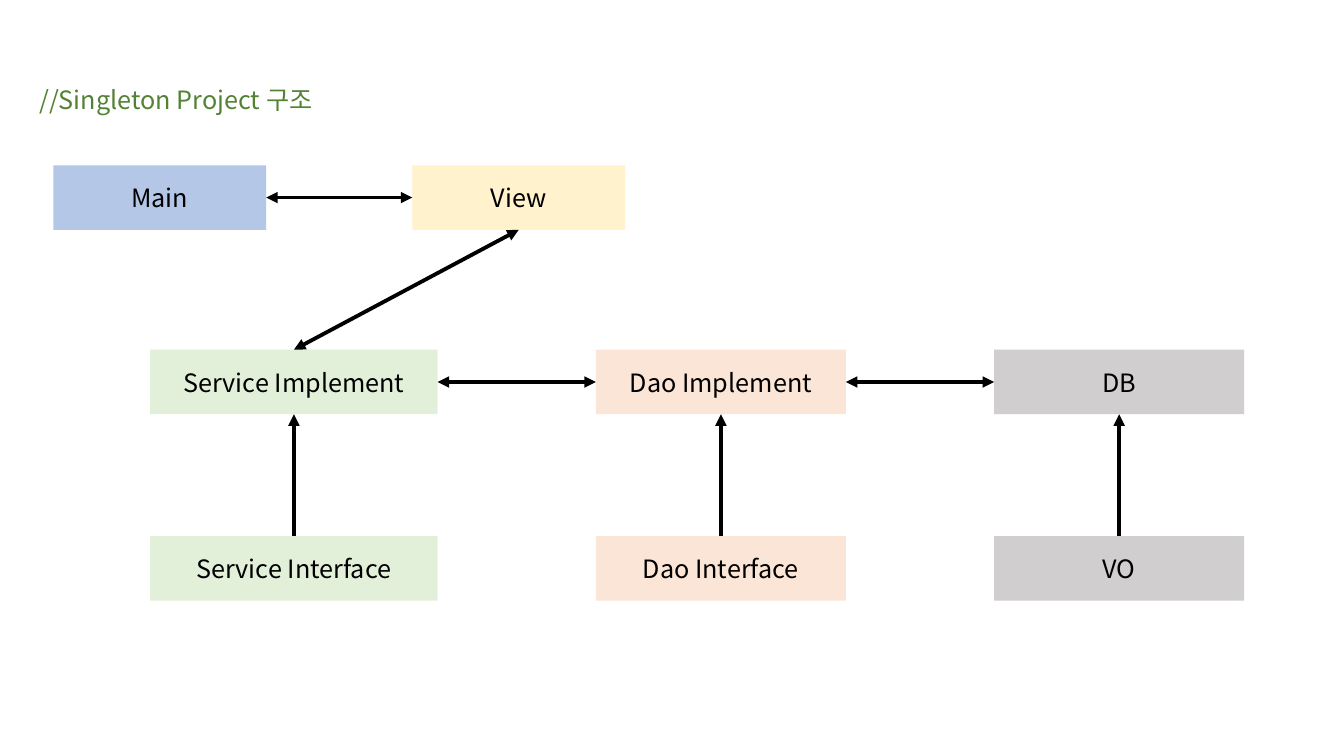
from lxml import etree
from pptx import Presentation
from pptx.dml.color import RGBColor
from pptx.enum.shapes import MSO_CONNECTOR, MSO_SHAPE
from pptx.enum.text import MSO_ANCHOR, PP_ALIGN
from pptx.oxml.ns import qn
from pptx.util import Inches, Pt

FONT = "Noto Sans CJK KR"
COLORS = {
    "black": "000000", "white": "FFFFFF", "title": "548235",
    "main": "B4C7E7", "view": "FFF2CC", "service": "E2F0D9",
    "dao": "FBE5D6", "data": "D0CECE",
}
TITLE = ("//Singleton Project 구조", 0.29, 0.76, 3.05, 0.46)

BOX_HEIGHT = 0.64
ROWS = {"entry": 1.64, "implement": 3.47, "interface": 5.32}
# column: left, width
COLUMNS = {
    "main": (0.53, 2.11), "view": (4.09, 2.11),
    "service": (1.49, 2.85), "dao": (5.91, 2.48), "data": (9.86, 2.48),
}
# label, column, row
BOXES = [
    ("Main", "main", "entry"),
    ("View", "view", "entry"),
    ("Service Implement", "service", "implement"),
    ("Dao Implement", "dao", "implement"),
    ("DB", "data", "implement"),
    ("Service Interface", "service", "interface"),
    ("Dao Interface", "dao", "interface"),
    ("VO", "data", "interface"),
]
TOP, LEFT, BOTTOM, RIGHT = range(4)
# start box, start side, end box, end side, arrowheads at both ends
ARROWS = [
    ("Main", RIGHT, "View", LEFT, True),
    ("View", BOTTOM, "Service Implement", TOP, True),
    ("Service Implement", RIGHT, "Dao Implement", LEFT, True),
    ("Dao Implement", RIGHT, "DB", LEFT, True),
    ("Service Implement", BOTTOM, "Service Interface", TOP, False),
    ("Dao Implement", BOTTOM, "Dao Interface", TOP, False),
    ("DB", BOTTOM, "VO", TOP, False),
]


def color(name):
    return RGBColor.from_string(COLORS[name])


def add_box(slide, label, left, top, width, height, fill, text_color, alignment):
    shape = slide.shapes.add_shape(
        MSO_SHAPE.RECTANGLE, Inches(left), Inches(top), Inches(width), Inches(height))
    shape.shadow.inherit = False
    shape.fill.solid()
    shape.fill.fore_color.rgb = color(fill)
    shape.line.fill.background()
    text_frame = shape.text_frame
    text_frame.text = label
    text_frame.vertical_anchor = MSO_ANCHOR.MIDDLE
    paragraph = text_frame.paragraphs[0]
    paragraph.alignment = alignment
    run = paragraph.runs[0]
    run.font.size = Pt(18)
    run.font.name = FONT
    run.font.color.rgb = color(text_color)
    # Hangul takes its font from the East Asian entry
    etree.SubElement(run.font._element, qn("a:ea"), typeface=FONT)
    return shape


def add_arrow(slide, start, start_side, end, end_side, both_ends):
    connector = slide.shapes.add_connector(MSO_CONNECTOR.STRAIGHT, 0, 0, 0, 0)
    connector.begin_connect(start, start_side)
    connector.end_connect(end, end_side)
    connector.line.color.rgb = color("black")
    connector.line.width = Pt(2.75)
    line = connector.line._get_or_add_ln()
    for tag in ["a:headEnd", "a:tailEnd"] if both_ends else ["a:headEnd"]:
        etree.SubElement(line, qn(tag), type="triangle")
    etree.SubElement(connector._element.spPr, qn("a:effectLst"))


def main():
    presentation = Presentation()
    presentation.slide_width = Inches(13.33)
    presentation.slide_height = Inches(7.5)
    slide = presentation.slides.add_slide(presentation.slide_layouts[6])

    add_box(slide, *TITLE, "white", "title", PP_ALIGN.LEFT)
    boxes = {}
    for label, column, row in BOXES:
        left, width = COLUMNS[column]
        boxes[label] = add_box(slide, label, left, ROWS[row], width, BOX_HEIGHT,
                               column, "black", PP_ALIGN.CENTER)
    for start, start_side, end, end_side, both_ends in ARROWS:
        add_arrow(slide, boxes[start], start_side, boxes[end], end_side, both_ends)

    presentation.save("out.pptx")


if __name__ == "__main__":
    main()
